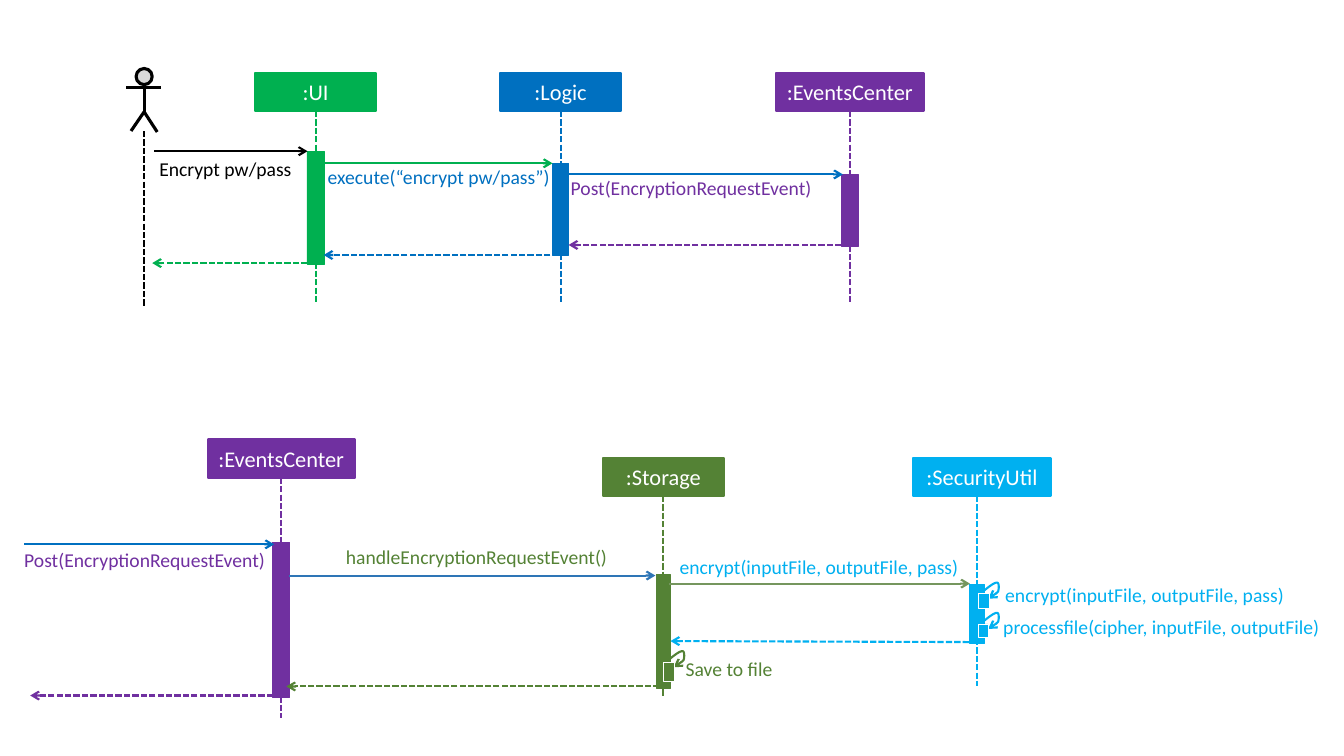
"""Draw two sequence diagrams for the encrypt command."""
from lxml import etree
from pptx import Presentation
from pptx.dml.color import RGBColor
from pptx.enum.dml import MSO_LINE
from pptx.enum.shapes import MSO_CONNECTOR, MSO_SHAPE
from pptx.enum.text import MSO_ANCHOR, MSO_AUTO_SIZE, PP_ALIGN
from pptx.oxml.ns import qn
from pptx.util import Inches, Pt

DASH = MSO_LINE.SQUARE_DOT
STRAIGHT = MSO_CONNECTOR.STRAIGHT
RECT, CIRCLE = MSO_SHAPE.RECTANGLE, MSO_SHAPE.FLOWCHART_CONNECTOR
MIDDLE, CENTER = MSO_ANCHOR.MIDDLE, PP_ALIGN.CENTER
GROW = MSO_AUTO_SIZE.SHAPE_TO_FIT_TEXT
HUES = {
    "green": "00B050", "blue": "0070C0", "purple": "7030A0", "olive": "548235",
    "sky": "00B0F0", "black": "000000", "white": "FFFFFF", "gray": "D9D9D9",
    "steel": "2E75B6", "sage": "75965E",
}

deck = Presentation()
deck.slide_width, deck.slide_height = Inches(13.33), Inches(7.5)
shapes = deck.slides.add_slide(deck.slide_layouts[6]).shapes


def pen(part, hue, width=1.5, dash=False, arrow=False):
    """Style an unfilled line, with optional dashes and an end arrow."""
    part.line.color.rgb = RGBColor.from_string(HUES[hue])
    part.line.width = Pt(width)
    if dash:
        part.line.dash_style = DASH
    props = part._element.spPr
    if arrow:
        etree.SubElement(props.find(qn("a:ln")), qn("a:tailEnd"), type="arrow")
    etree.SubElement(props, qn("a:effectLst"))


def block(kind, left, top, width, height, fill, edge, weight):
    """Add a filled, outlined shape without a shadow."""
    part = shapes.add_shape(kind, Inches(left), Inches(top), Inches(width), Inches(height))
    part.shadow.inherit = False
    part.fill.solid()
    part.fill.fore_color.rgb = RGBColor.from_string(HUES[fill])
    part.line.color.rgb = RGBColor.from_string(HUES[edge])
    part.line.width = Pt(weight)
    return part


# name, hue, head left, top and width, axis shift, axis end, bar top, width and height
roles = [
    (":UI", "green", 2.53, 0.72, 1.2, 0, 3, 1.5, 0.17, 1.12),
    (":Logic", "blue", 4.96, 0.72, 1.2, 0, 3, 1.62, 0.16, 0.91),
    (":EventsCenter", "purple", 7.7, 0.72, 1.46, 0, 3, 1.73, 0.16, 0.71),
    (":EventsCenter", "purple", 2.06, 4.36, 1.46, 0, 7.12, 5.38, 0.17, 1.54),
    (":Storage", "olive", 5.98, 4.54, 1.2, 0, 6.92, 5.7, 0.13, 1.13),
    (":SecurityUtil", "sky", 9.06, 4.54, 1.36, -0.05, 6.81, 5.8, 0.15, 0.58),
]
for name, hue, left, top, width, shift, end, start, thick, tall in roles:
    head = block(RECT, left, top, width, 0.38, hue, hue, 1.5)
    frame = head.text_frame
    frame.text = name
    frame.word_wrap = False
    frame.vertical_anchor = MIDDLE
    para = frame.paragraphs[0]
    para.alignment = CENTER
    font = para.runs[0].font
    font.name, font.size = "Calibri", Pt(16)
    font.color.rgb = RGBColor.from_string(HUES["white"])
    axis = left + width / 2 + shift
    life = shapes.add_connector(
        STRAIGHT, Inches(axis), Inches(top + 0.38), Inches(axis), Inches(end))
    if not shift:
        life.begin_connect(head, 2)
    pen(life, hue, dash=True)
    block(RECT, axis - thick / 2, start, thick, tall, hue, hue, 0.5)

block(CIRCLE, 1.35, 0.68, 0.16, 0.16, "gray", "black", 2.25)
legs = shapes.build_freeform(Inches(1.3), Inches(1.3))
legs.add_line_segments(
    [(Inches(1.43), Inches(1.11)), (Inches(1.56), Inches(1.31))], close=False)
legs = legs.convert_to_shape()
legs.fill.background()
pen(legs, "black", 2.25)

# x1, y1, x2, y2, hue, width, dash, arrow
lines = [
    (1.43, 0.84, 1.43, 1.11, "black", 2.25, False, False),
    (1.25, 0.87, 1.6, 0.87, "black", 2.25, False, False),
    (1.43, 1.3, 1.43, 3.05, "black", 1.5, True, False),
    (1.53, 1.5, 3.05, 1.5, "black", 1.5, False, True),
    (3.21, 1.62, 5.48, 1.62, "green", 1.5, False, True),
    (5.62, 1.73, 8.36, 1.73, "blue", 1.5, False, True),
    (8.43, 2.43, 5.64, 2.43, "purple", 1.5, True, True),
    (5.46, 2.53, 3.21, 2.53, "blue", 1.5, True, True),
    (3.05, 2.61, 1.51, 2.61, "green", 1.5, True, True),
    (0.24, 5.4, 2.72, 5.4, "blue", 1.5, False, True),
    (2.87, 5.71, 6.5, 5.71, "steel", 1.5, False, True),
    (6.64, 5.79, 9.62, 5.79, "sage", 1.5, False, True),
    (9.61, 6.37, 6.65, 6.36, "sky", 1.5, True, True),
    (6.54, 6.81, 2.84, 6.81, "olive", 1.5, True, True),
    (2.71, 6.9, 0.3, 6.9, "purple", 1.5, True, True),
]
for x1, y1, x2, y2, hue, width, dash, arrow in lines:
    link = shapes.add_connector(STRAIGHT, Inches(x1), Inches(y1), Inches(x2), Inches(y2))
    pen(link, hue, width, dash, arrow)

curves = [
    ((-0.04, -0.08), (0.01, -0.12), (0.06, -0.16), (0.09, -0.16)),
    ((0.09, -0.16), (0.11, -0.16), (0.11, -0.1), (0.1, -0.07)),
    ((0.1, -0.07), (0.08, -0.05), (0.04, -0.02), (0, 0)),
]
loops = [
    (6.58, 6.57, 0.11, 0.19, "olive"),
    (9.7, 5.89, 0.11, 0.15, "sky"),
    (9.7, 6.19, 0.1, 0.13, "sky"),
]
for left, top, width, height, hue in loops:
    dots = []
    for curve in curves:
        for step in range(9):
            t = step / 8
            mix = ((1 - t) ** 3, 3 * t * (1 - t) ** 2, 3 * t * t * (1 - t), t ** 3)
            x = left + 0.1 + sum(m * p[0] for m, p in zip(mix, curve))
            y = top + 0.05 + sum(m * p[1] for m, p in zip(mix, curve))
            dots.append((Inches(x), Inches(y)))
    arc = shapes.build_freeform(*dots[0])
    arc.add_line_segments(dots[1:], close=False)
    arc = arc.convert_to_shape()
    arc.fill.background()
    pen(arc, hue, arrow=True)
    block(RECT, left, top, width, height, hue, "white", 0.5)

labels = [
    ("Encrypt pw/pass", 1.58, 1.56, 1.36, "black"),
    ("execute(“encrypt pw/pass”)", 3.25, 1.64, 2.21, "blue"),
    ("Post(EncryptionRequestEvent)", 5.66, 1.75, 2.41, "purple"),
    ("Post(EncryptionRequestEvent)", 0.24, 5.44, 2.46, "purple"),
    ("handleEncryptionRequestEvent()", 3.43, 5.41, 2.91, "olive"),
    ("encrypt(inputFile, outputFile, pass)", 6.74, 5.51, 3.18, "sky"),
    ("encrypt(inputFile, outputFile, pass)", 9.97, 5.78, 3.18, "sky"),
    ("processfile(cipher, inputFile, outputFile)", 9.95, 6.1, 3.18, "sky"),
    ("Save to file", 6.8, 6.52, 1.33, "olive"),
]
for text, left, top, width, hue in labels:
    note = shapes.add_textbox(Inches(left), Inches(top), Inches(width), Inches(0.24))
    frame = note.text_frame
    frame.margin_left = frame.margin_right = frame.margin_top = frame.margin_bottom = 0
    frame.word_wrap = True
    frame.auto_size = GROW
    frame.text = text
    font = frame.paragraphs[0].runs[0].font
    font.name, font.size = "Calibri", Pt(14)
    font.color.rgb = RGBColor.from_string(HUES[hue])

deck.save("out.pptx")
